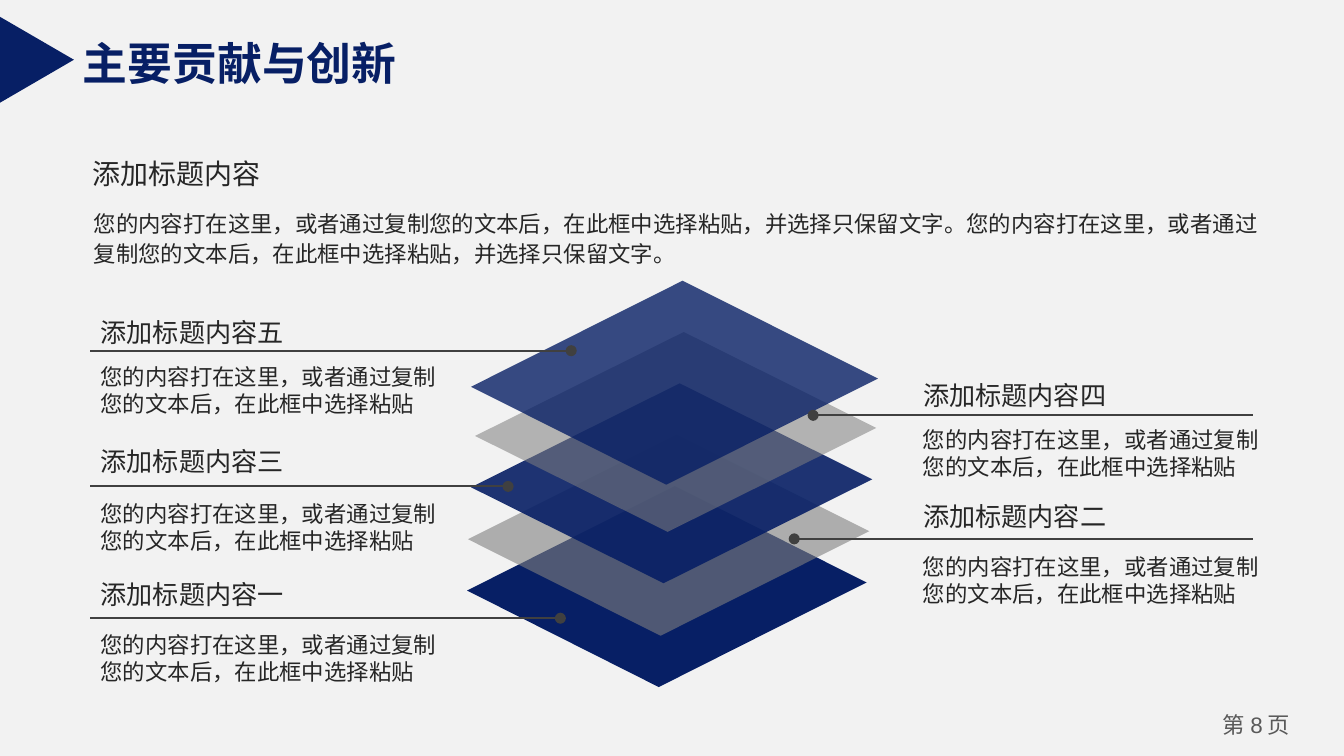
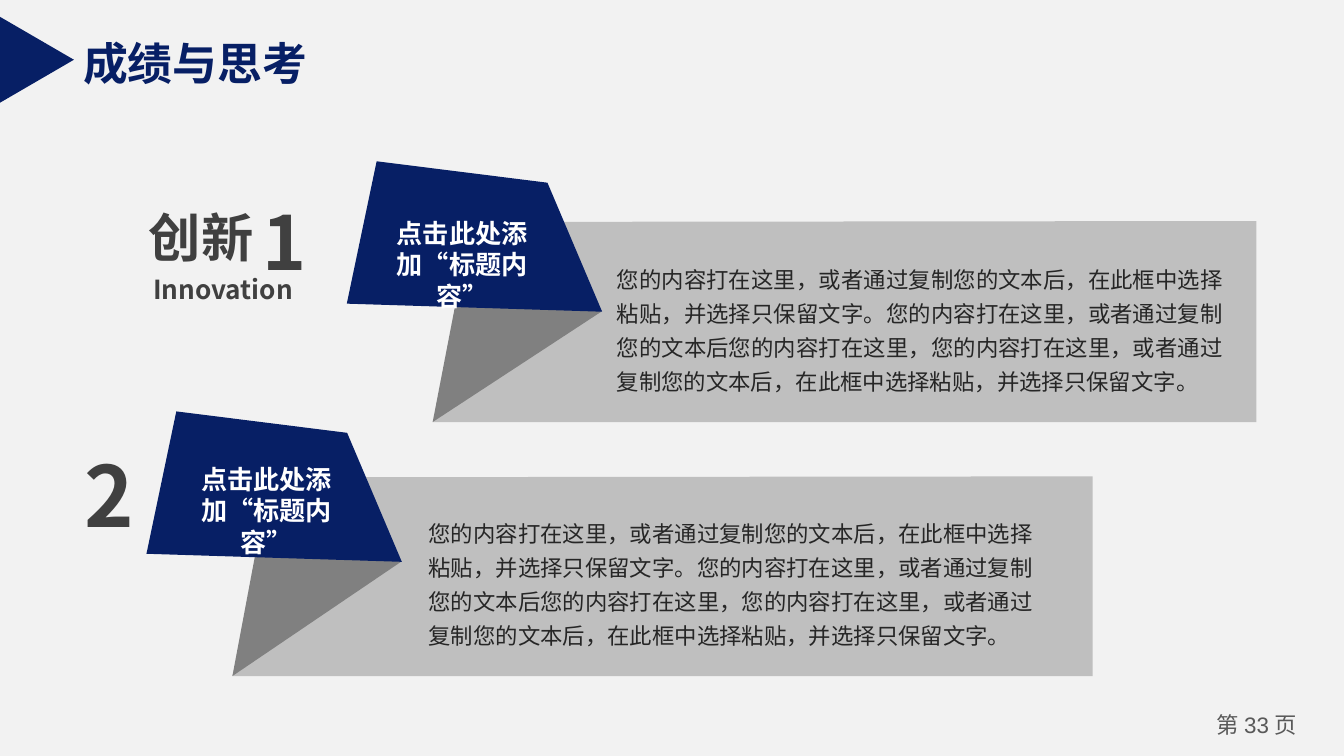
"""Build two thesis slides: a stack of layers and a pair of folded ribbons."""
from dataclasses import dataclass

from lxml import etree
from pptx import Presentation
from pptx.dml.color import RGBColor
from pptx.enum.shapes import MSO_CONNECTOR, MSO_SHAPE
from pptx.enum.text import MSO_AUTO_SIZE, PP_ALIGN
from pptx.oxml.ns import qn
from pptx.shapes.base import BaseShape
from pptx.slide import Slide
from pptx.util import Pt

LEFT, CENTER, JUSTIFY = PP_ALIGN.LEFT, PP_ALIGN.CENTER, PP_ALIGN.JUSTIFY
NO_AUTO_SIZE = MSO_AUTO_SIZE.NONE
TRIANGLE = MSO_SHAPE.ISOSCELES_TRIANGLE
STRAIGHT = MSO_CONNECTOR.STRAIGHT

COLORS = {
    "background": "F2F2F2",
    "navy": "071F65",
    "layer_gray": "7F7F7F",
    "panel": "BFBFBF",
    "fold": "808080",
    "text": "262626",
    "dark": "404040",
    "footer": "595959",
    "white": "FFFFFF",
}
LATIN_FONT = "Arial"
CHINESE_FONT = "Noto Sans CJK SC"
LINE_PITCH = 1.21
TOP_SHIFT = 0.07

SENTENCE = "您的内容打在这里，或者通过复制您的文本后，在此框中选择粘贴"
PARAGRAPH = SENTENCE + "，并选择只保留文字。"
RIBBON_TEXT = (PARAGRAPH + "您的内容打在这里，或者通过复制您的文本后"
               "您的内容打在这里，" + PARAGRAPH)
TAG_TEXT = "点击此处添加“标题内容”"

Point = tuple[float, float]


@dataclass(frozen=True)
class Layer:
    """One sheet of the stack."""
    left: float
    width: float
    height: float
    color: str
    opacity: int


@dataclass(frozen=True)
class Item:
    """A captioned leader line that points at a layer."""
    number: str
    left: float
    title_top: float
    line_top: float
    body_top: float
    dot: float
    line_end: float


@dataclass(frozen=True)
class Ribbon:
    """A panel with a folded corner and a tag."""
    left: float
    top: float
    panel_top: float
    panel_right: float
    panel_bottom: float
    tag_box: tuple[float, float, float]
    body_box: tuple[float, float, float]
    body_align: PP_ALIGN


LAYER_BOTTOM_TOP = 260.4
LAYER_STEP = 27.5
LAYERS = [
    Layer(250.2, 214, 107.7, "navy", 100),
    Layer(250.7, 215, 107.7, "layer_gray", 60),
    Layer(252.3, 215, 107.1, "navy", 90),
    Layer(254.5, 215, 107.1, "layer_gray", 55),
    Layer(252.3, 218, 109.3, "navy", 80),
]
LEFT_COLUMN, RIGHT_COLUMN = 46.8, 487.4
LINE_LEFT, LINE_RIGHT = 48.2, 671
ITEMS = [
    Item("五", LEFT_COLUMN, 164.9, 187.9, 190.1, 306, LINE_LEFT),
    Item("四", RIGHT_COLUMN, 198.7, 222.5, 223.9, 435.6, LINE_RIGHT),
    Item("二", RIGHT_COLUMN, 263.5, 288.7, 291.6, 425.5, LINE_RIGHT),
    Item("三", LEFT_COLUMN, 234, 260.6, 263.5, 272.2, LINE_LEFT),
    Item("一", LEFT_COLUMN, 305.3, 331.2, 333.4, 300.2, LINE_LEFT),
]
RIBBONS = [
    Ribbon(185.8, 86.4, 118.4, 673, 226.1,
           (195.8, 111.6, 103.7), (323.3, 134.6, 339.3), JUSTIFY),
    Ribbon(78.5, 220.4, 255.2, 585.4, 362.2,
           (87.8, 243.4, 110.2), (222.5, 270.7, 347), LEFT),
]


def color_of(name: str) -> RGBColor:
    """Look up a named colour."""
    return RGBColor.from_string(COLORS[name])


def add_text(page: Slide, text: str | list[str], left: float, top: float,
             width: float, height: float, *, size: float = 12,
             color: str = "text", bold: bool = False, font: str = CHINESE_FONT,
             align: PP_ALIGN = LEFT, spacing: float = 1, wrap: bool = True,
             inset: Point = (7.2, 3.6)) -> None:
    """Add a one-paragraph text box; a list gives one run per entry."""
    box = page.shapes.add_textbox(Pt(left), Pt(top), Pt(width), Pt(height))
    frame = box.text_frame
    frame.word_wrap = wrap
    frame.auto_size = NO_AUTO_SIZE
    frame.margin_left = frame.margin_right = Pt(inset[0])
    frame.margin_top = Pt(inset[1] + TOP_SHIFT * size)
    frame.margin_bottom = Pt(inset[1])
    para = frame.paragraphs[0]
    para.alignment = align
    para.line_spacing = Pt(round(size * LINE_PITCH * spacing, 1))
    for part in [text] if isinstance(text, str) else text:
        span = para.add_run()
        span.text = part
        span.font.size = Pt(size)
        span.font.bold = bold
        span.font.color.rgb = color_of(color)
        span.font.name = LATIN_FONT if part.strip().isdigit() and not bold else font
        east_asian = etree.SubElement(span.font._element, qn("a:ea"))
        east_asian.set("typeface", CHINESE_FONT)


def paint(shape: BaseShape, color: str, opacity: int = 100) -> None:
    """Give a shape a flat fill without outline or shadow."""
    shape.shadow.inherit = False
    shape.line.fill.background()
    shape.fill.solid()
    shape.fill.fore_color.rgb = color_of(color)
    if opacity < 100:
        value = shape._element.spPr.find(f"{qn('a:solidFill')}/{qn('a:srgbClr')}")
        etree.SubElement(value, qn("a:alpha")).set("val", str(opacity * 1000))


def add_polygon(page: Slide, points: list[Point], color: str,
                opacity: int = 100) -> None:
    """Draw a closed filled outline."""
    corners = [(Pt(x), Pt(y)) for x, y in points]
    builder = page.shapes.build_freeform(*corners[0])
    builder.add_line_segments(corners[1:], close=True)
    paint(builder.convert_to_shape(), color, opacity)


def add_leader(page: Slide, start: float, end: float, top: float) -> None:
    """Draw a horizontal line with a dot at its start."""
    leader = page.shapes.add_connector(STRAIGHT, Pt(start), Pt(top), Pt(end), Pt(top))
    leader.line.color.rgb = color_of("dark")
    leader.line.width = Pt(1)
    etree.SubElement(leader.line._get_or_add_ln(), qn("a:headEnd")).set("type", "oval")
    etree.SubElement(leader._element.spPr, qn("a:effectLst"))


def add_page(deck: Presentation, title: str, title_width: float, number: int) -> Slide:
    """Add a page with its background, title, marker and footer."""
    page = deck.slides.add_slide(deck.slide_layouts[6])
    page.background.fill.solid()
    page.background.fill.fore_color.rgb = color_of("background")
    add_text(page, ["第 ", str(number), " 页"], 640.8, 377.3, 64.8, 21.6,
             color="footer", align=CENTER, inset=(5, 2.9))
    add_text(page, title, 37.4, 13.7, title_width, 36, size=24, color="navy",
             bold=True, font=LATIN_FONT, wrap=False)
    marker = page.shapes.add_shape(TRIANGLE, Pt(-3.2), Pt(12.2), Pt(46), Pt(39.6))
    marker.rotation = 90
    paint(marker, "navy")
    return page


def add_layer(page: Slide, layer: Layer, top: float) -> None:
    """Draw one tilted sheet."""
    corners = [(0, 0.52), (0.52, 0), (1, 0.48), (0.48, 1)]
    points = [(layer.left + x * layer.width, top + y * layer.height) for x, y in corners]
    add_polygon(page, points, layer.color, layer.opacity)


def add_item(page: Slide, item: Item) -> None:
    """Draw a leader line with its heading and text."""
    add_leader(page, item.dot, item.line_end, item.line_top)
    add_text(page, SENTENCE, item.left, item.body_top, 196, 36.7)
    add_text(page, "添加标题内容" + item.number, item.left, item.title_top,
             132, 24.5, size=14)


def add_ribbon(page: Slide, ribbon: Ribbon) -> None:
    """Draw a panel, its fold, its tag and both texts."""
    x, y = ribbon.left, ribbon.top
    tip = (x + 46, ribbon.panel_bottom)
    add_polygon(page, [(x + 80, ribbon.panel_top + 0.5),
                       (ribbon.panel_right, ribbon.panel_top),
                       (ribbon.panel_right, ribbon.panel_bottom), tip], "panel")
    add_polygon(page, [(x + 136.5, y + 80.5), (x + 61.5, y + 59.5), tip], "fold")
    add_polygon(page, [(x + 16, y), (x + 107.5, y + 11.5),
                       (x + 136.8, y + 80.6), (x, y + 76.3)], "navy")
    add_text(page, TAG_TEXT, *ribbon.tag_box, 41, size=14, color="white",
             bold=True, align=CENTER, inset=(14, 3.6))
    add_text(page, RIBBON_TEXT, *ribbon.body_box, 80, spacing=1.25,
             align=ribbon.body_align)


def build_layers_page(deck: Presentation) -> None:
    """Build the page with the stack of layers."""
    page = add_page(deck, "主要贡献与创新", 184.3, 8)
    for index, layer in enumerate(LAYERS):
        add_layer(page, layer, LAYER_BOTTOM_TOP - index * LAYER_STEP)
    for item in ITEMS:
        add_item(page, item)
    add_text(page, "添加标题内容", 42.5, 79.2, 105, 25.2, size=15, wrap=False)
    add_text(page, PARAGRAPH * 2, 43.2, 106.6, 639.4, 39.6, spacing=1.1)


def build_ribbons_page(deck: Presentation) -> None:
    """Build the page with the two ribbons."""
    page = add_page(deck, "成绩与思考", 135.4, 33)
    label = {"color": "dark", "bold": True, "wrap": False}
    add_text(page, "Innovation", 74.9, 141.8, 92.2, 24.5, size=14, **label)
    add_text(page, "创新", 72.7, 104.4, 71.3, 41, size=28, **label)
    for ribbon in RIBBONS:
        add_ribbon(page, ribbon)
    add_text(page, "1", 135.4, 98.6, 36, 54, size=40, inset=(5, 2.9), **label)
    add_text(page, "2", 40.3, 231.1, 38.9, 59.8, size=45, inset=(5, 2.9), **label)


def main() -> None:
    """Build and save the deck."""
    deck = Presentation()
    deck.slide_width, deck.slide_height = Pt(720), Pt(405)
    build_layers_page(deck)
    build_ribbons_page(deck)
    deck.save("out.pptx")


if __name__ == "__main__":
    main()
